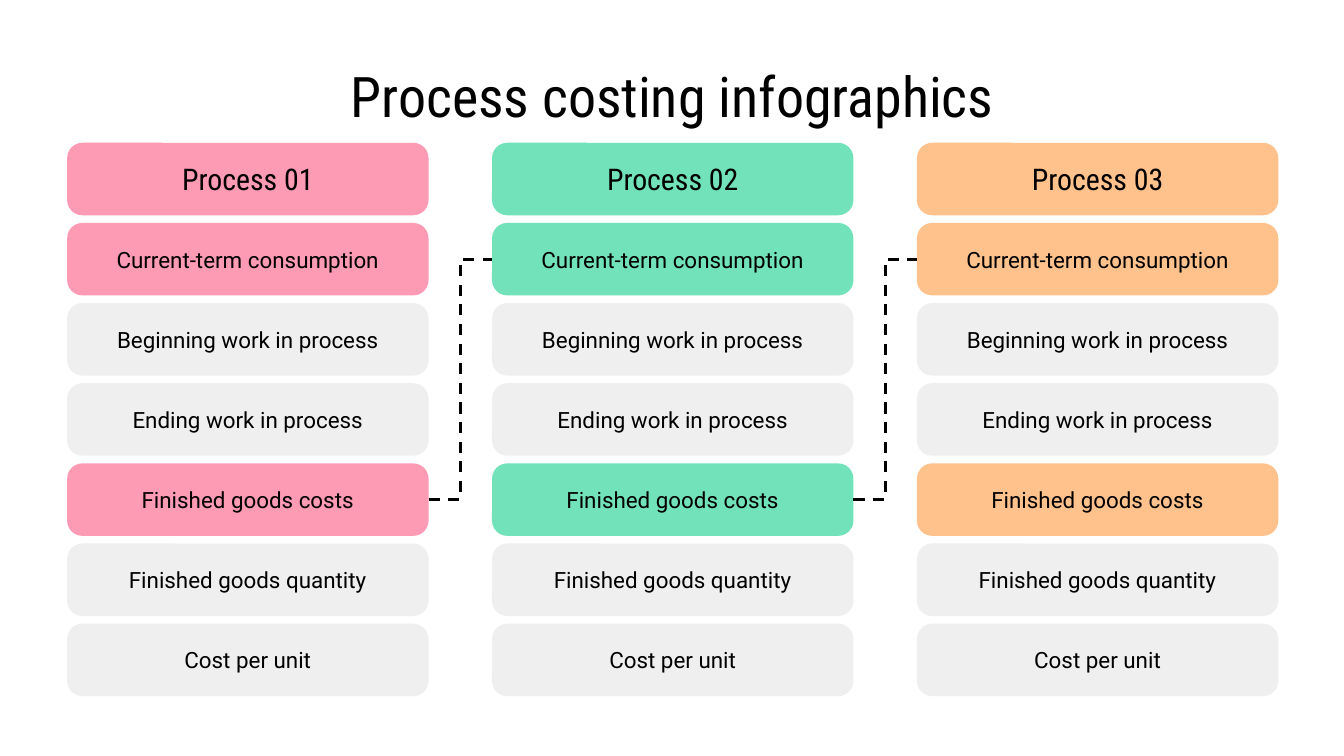
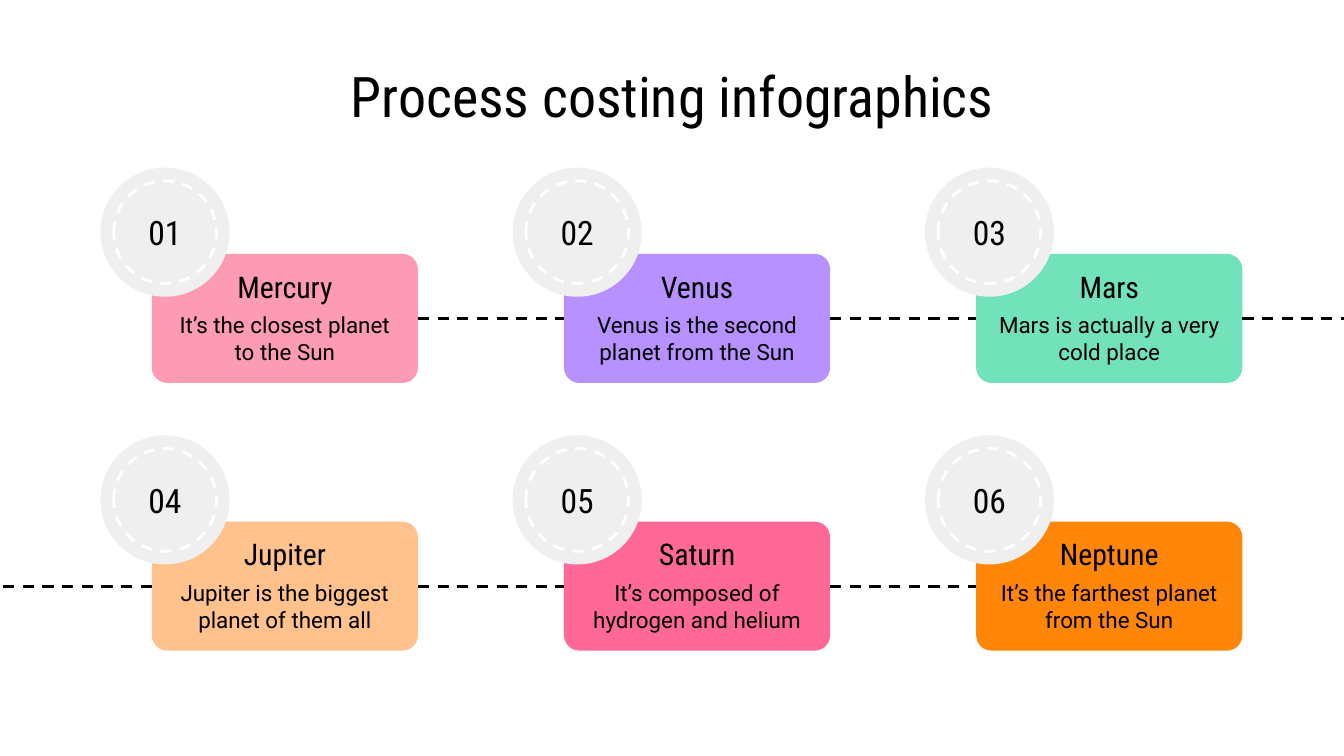
"""Build two process costing infographic slides."""
from lxml.etree import SubElement
from pptx import Presentation
from pptx.dml.color import RGBColor
from pptx.enum.dml import MSO_LINE_DASH_STYLE as Dash
from pptx.enum.shapes import MSO_CONNECTOR as Link, MSO_SHAPE as Preset
from pptx.enum.text import MSO_ANCHOR as Anchor, MSO_AUTO_SIZE as AutoSize, PP_ALIGN as Align
from pptx.oxml.ns import qn
from pptx.util import Cm, Pt

BLACK = RGBColor(0x00, 0x00, 0x00)
WHITE = RGBColor(0xFF, 0xFF, 0xFF)
GRAY = RGBColor(0xEF, 0xEF, 0xEF)
PINK = RGBColor(0xFD, 0x9A, 0xB4)
GREEN = RGBColor(0x71, 0xE2, 0xB9)
PEACH = RGBColor(0xFF, 0xC2, 0x8C)
PURPLE = RGBColor(0xB7, 0x91, 0xFF)
ROSE = RGBColor(0xFF, 0x69, 0x97)
ORANGE = RGBColor(0xFF, 0x86, 0x09)
BODY_FONT = "Roboto"
HEAD_FONT = "Roboto Condensed"


def write(box, text, size, font=HEAD_FONT):
    frame = box.text_frame
    frame.text = text
    frame.word_wrap = True
    frame.auto_size = AutoSize.NONE
    frame.vertical_anchor = Anchor.MIDDLE
    frame.margin_left = frame.margin_right = Cm(0.25)
    frame.margin_top = frame.margin_bottom = Cm(0.25)
    para = frame.paragraphs[0]
    para.alignment = Align.CENTER
    span = para.runs[0]
    span.font.name = font
    span.font.size = Pt(size)
    span.font.color.rgb = BLACK


def draw(page, preset, left, top, width, height, fill=None):
    shape = page.shapes.add_shape(preset, Cm(left), Cm(top), Cm(width), Cm(height))
    shape.shadow.inherit = False
    shape.line.fill.background()
    if fill is None:
        shape.fill.background()
    else:
        shape.fill.solid()
        shape.fill.fore_color.rgb = fill
    return shape


deck = Presentation()
deck.slide_width, deck.slide_height = Cm(25.4), Cm(14.29)
pages = [deck.slides.add_slide(deck.slide_layouts[5]) for _ in range(2)]
for page in pages:
    title = page.shapes.title
    title.left, title.top, title.width, title.height = Cm(1.27), Cm(1.14), Cm(22.88), Cm(1.32)
    write(title, "Process costing infographics", 30)
process_page, planet_page = pages
connectors = []

row_texts = ["Current-term consumption", "Beginning work in process", "Ending work in process",
             "Finished goods costs", "Finished goods quantity", "Cost per unit"]
colored_texts = ["Current-term consumption", "Finished goods costs"]
bar_left, bar_top, bar_width, bar_height = 1.27, 2.7, 6.83, 1.37
column_step = 8.03
row_step = (13.16 - bar_top - bar_height) / len(row_texts)
previous_costs = None
for column, color in enumerate([PINK, GREEN, PEACH]):
    left = bar_left + column * column_step
    bars = {}
    for row, text in enumerate([f"Process {column + 1:02}"] + row_texts):
        fill = color if row == 0 or text in colored_texts else GRAY
        bar = draw(process_page, Preset.ROUNDED_RECTANGLE, left, bar_top + row * row_step,
                   bar_width, bar_height, fill)
        bar.adjustments[0] = 0.21
        if row == 0:
            write(bar, text, 16)
        else:
            write(bar, text, 12, BODY_FONT)
        bars[text] = bar
    if previous_costs is not None:
        elbow = process_page.shapes.add_connector(Link.ELBOW, 0, 0, 0, 0)
        elbow.begin_connect(previous_costs, 3)
        elbow.end_connect(bars["Current-term consumption"], 1)
        connectors.append(elbow)
    previous_costs = bars["Finished goods costs"]

planets = [
    ("Mercury", "It’s the closest planet to the Sun", PINK),
    ("Venus", "Venus is the second planet from the Sun", PURPLE),
    ("Mars", "Mars is actually a very cold place", GREEN),
    ("Jupiter", "Jupiter is the biggest planet of them all", PEACH),
    ("Saturn", "It’s composed of hydrogen and helium", ROSE),
    ("Neptune", "It’s the farthest planet from the Sun", ORANGE),
]
card_width, card_height = 5.03, 2.44
disc_size, ring_inset = 2.44, 0.25
ring_size = disc_size - 2 * ring_inset
cards = []
for index, (name, fact, color) in enumerate(planets):
    row, column = divmod(index, 3)
    left, top = 2.87 + column * 7.79, 4.8 + row * 5.06
    card = draw(planet_page, Preset.ROUNDED_RECTANGLE, left, top, card_width, card_height, color)
    card.adjustments[0] = 0.12
    cards.append(card)
    for text, offset, height, size, font in [(name, 0.23, 0.76, 16, HEAD_FONT),
                                             (fact, 0.97, 1.24, 12, BODY_FONT)]:
        box = planet_page.shapes.add_textbox(Cm(left + 0.09), Cm(top + offset),
                                             Cm(card_width - 0.18), Cm(height))
        write(box, text, size, font)
    disc_left, disc_top = left - 0.97, top - 1.63
    draw(planet_page, Preset.OVAL, disc_left, disc_top, disc_size, disc_size, GRAY)
    ring = draw(planet_page, Preset.OVAL, disc_left + ring_inset, disc_top + ring_inset,
                ring_size, ring_size)
    ring.line.color.rgb = WHITE
    ring.line.width = Pt(1.5)
    ring.line.dash_style = Dash.DASH
    write(ring, f"{index + 1:02}", 18)

first_row, second_row = cards[:3], cards[3:]
card_links = [pair for line in (first_row, second_row) for pair in zip(line, line[1:])]
for start, end in card_links + [(first_row[-1], None), (second_row[0], None)]:
    middle = start.top + start.height // 2
    edge = deck.slide_width if start is first_row[-1] else 0
    line = planet_page.shapes.add_connector(Link.STRAIGHT, edge, middle, edge, middle)
    line.begin_connect(start, 3 if end is not None or edge else 1)
    if end is not None:
        line.end_connect(end, 1)
    connectors.append(line)

for connector in connectors:
    connector.line.color.rgb = BLACK
    connector.line.width = Pt(1.5)
    connector.line.dash_style = Dash.DASH
    SubElement(connector.element.spPr, qn("a:effectLst"))

deck.save("out.pptx")
